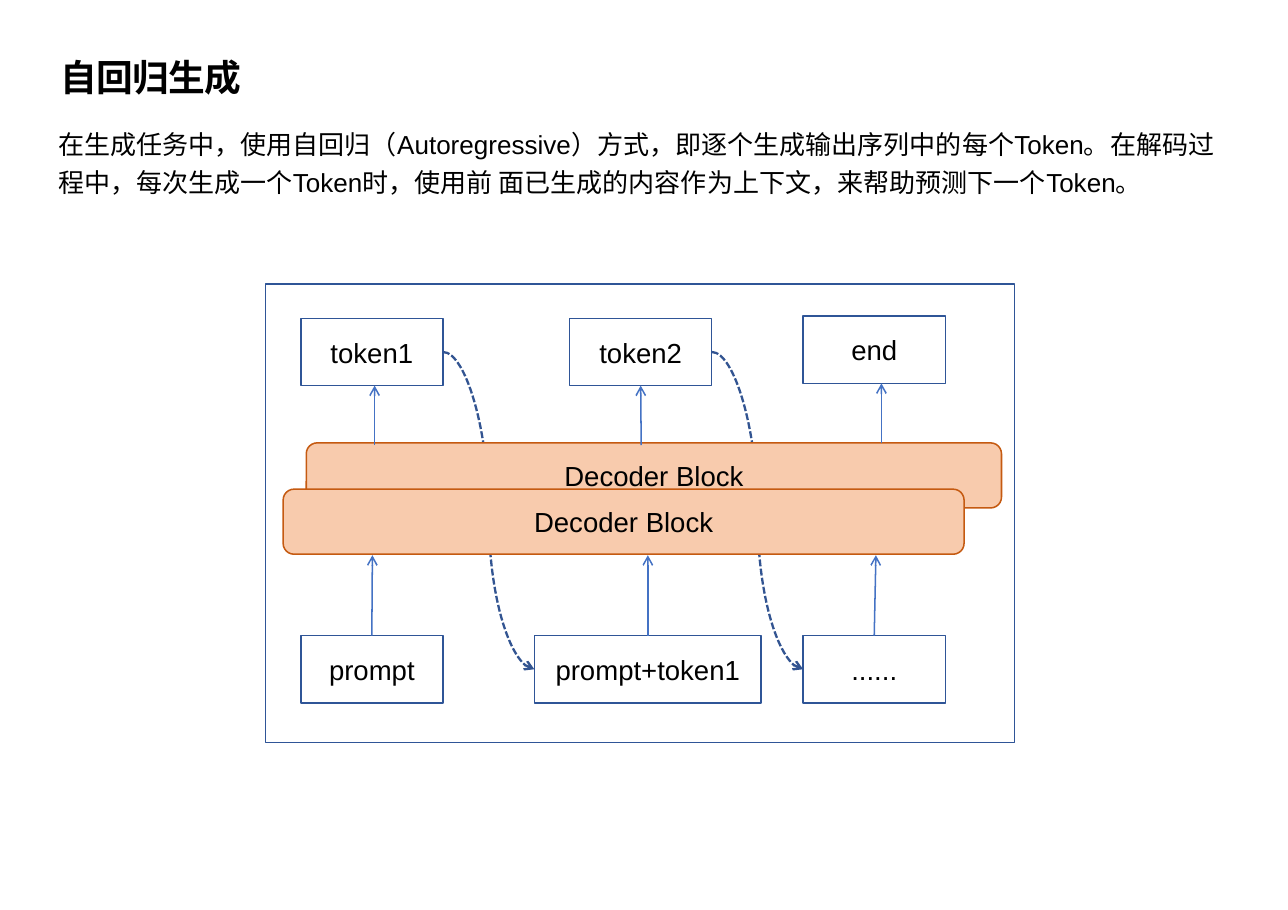
"""Build the slide that explains autoregressive generation."""
import pptx
import pptx.dml.color
import pptx.enum.dml
import pptx.enum.shapes
import pptx.enum.text
import pptx.oxml
import pptx.oxml.ns
import pptx.util
from pptx.util import Inches

LATIN, CHINESE = "Arial", "Noto Sans CJK SC"
COLORS = {"text": "000000", "frame": "2F5597", "white": "FFFFFF", "block": "F8CBAD",
          "block_line": "C55A11", "arrow": "4472C4", "feedback": "325491"}

HEADING = [("自回归生成", CHINESE)]
BODY = [
    ("在生成任务中，使用自回归（", CHINESE), ("Autoregressive", LATIN),
    ("）方式，即逐个生成输出序列中的每个", CHINESE), ("Token", LATIN),
    ("。在解码过程中，每次生成一个", CHINESE), ("Token", LATIN),
    ("时，使用前 面已生成的内容作为上下文，来帮助预测下一个", CHINESE),
    ("Token", LATIN), ("。", CHINESE),
]
PARAGRAPHS = [
    {"runs": HEADING, "size": 24, "bold": True, "tracking": -50,
     "spacing": 0.91, "before": 0, "indent": 0.04},
    {"runs": BODY, "size": 17, "bold": False, "tracking": 0,
     "spacing": 1.23, "before": 14.3, "indent": 0.02},
]

FRAME = (2.41, 2.58, 6.8, 4.16)
BLOCK_LABEL = "Decoder Block"
BLOCKS = [(2.78, 4.02, 6.31, 0.59), (2.57, 4.44, 6.18, 0.59)]
BOX_HEIGHT = 0.61
OUTPUT_TOP, INPUT_TOP = 2.89, 5.77
BOXES = {
    "token1": (2.73, OUTPUT_TOP, 1.29), "token2": (5.17, OUTPUT_TOP, 1.29),
    "end": (7.29, 2.87, 1.29), "prompt": (2.73, INPUT_TOP, 1.29),
    "prompt+token1": (4.85, INPUT_TOP, 2.06), "......": (7.29, INPUT_TOP, 1.29),
}
FEEDBACK = [("token2", "......"), ("token1", "prompt+token1")]
INPUT_ARROWS = [("prompt", 3.38), ("prompt+token1", 5.88), ("......", 7.95)]
INPUT_ARROW_TIP = 5.04
OUTPUT_ARROWS = [("token1", 3.4, 4.04), ("token2", 5.82, 4.04), ("end", 8, 4.02)]


def color(name):
    return pptx.dml.color.RGBColor.from_string(COLORS[name])


def add_run(paragraph, text, font, size, bold=False, tracking=0):
    run = paragraph.add_run()
    run.text = text
    run.font.name = font
    run.font.size = pptx.util.Pt(size)
    run.font.bold = bold
    run.font.color.rgb = color("text")
    properties = run.font._element
    if tracking:
        properties.set("spc", str(tracking))
    if font == CHINESE:
        east_asian = pptx.oxml.parse_xml(
            f'<a:ea {pptx.oxml.ns.nsdecls("a")} typeface="{font}"/>')
        properties.append(east_asian)


def add_box(slide, kind, bounds, line, fill=None, label=None):
    shape = slide.shapes.add_shape(kind, *map(Inches, bounds))
    shape.shadow.inherit = False
    if fill:
        shape.fill.solid()
        shape.fill.fore_color.rgb = color(fill)
    else:
        shape.fill.background()
    shape.line.color.rgb = color(line)
    shape.line.width = pptx.util.Pt(1)
    if label:
        shape.text_frame.vertical_anchor = pptx.enum.text.MSO_ANCHOR.MIDDLE
        paragraph = shape.text_frame.paragraphs[0]
        paragraph.alignment = pptx.enum.text.PP_ALIGN.CENTER
        add_run(paragraph, label, LATIN, 18)
    return shape


def add_arrow(slide, kind, points, line, width, dash=None):
    connector = slide.shapes.add_connector(kind, *map(Inches, points))
    connector.line.color.rgb = color(line)
    connector.line.width = pptx.util.Pt(width)
    if dash:
        connector.line.dash_style = dash
    namespace = pptx.oxml.ns.nsdecls("a")
    properties = connector._element.spPr
    properties.find(pptx.oxml.ns.qn("a:ln")).append(
        pptx.oxml.parse_xml(f'<a:tailEnd {namespace} type="arrow"/>'))
    properties.append(pptx.oxml.parse_xml(f"<a:effectLst {namespace}/>"))
    return connector


def add_text(slide):
    text_box = slide.shapes.add_textbox(*map(Inches, (0.41, 0.49, 10.92, 1.37)))
    frame = text_box.text_frame
    frame.word_wrap = True
    for index, content in enumerate(PARAGRAPHS):
        paragraph = frame.add_paragraph() if index else frame.paragraphs[0]
        paragraph.line_spacing = content["spacing"]
        paragraph.space_before = pptx.util.Pt(content["before"])
        paragraph._p.get_or_add_pPr().set("marL", str(Inches(content["indent"])))
        for text, font in content["runs"]:
            add_run(paragraph, text, font, content["size"], content["bold"],
                    content["tracking"])


def add_diagram(slide):
    shapes = pptx.enum.shapes.MSO_SHAPE
    connectors = pptx.enum.shapes.MSO_CONNECTOR
    add_box(slide, shapes.RECTANGLE, FRAME, "frame", "white")

    curves = []
    for source, target in FEEDBACK:
        left, top, width = BOXES[source]
        end_left, end_top, _ = BOXES[target]
        points = (left + width, top + BOX_HEIGHT / 2, end_left, end_top + BOX_HEIGHT / 2)
        curves.append(add_arrow(slide, connectors.CURVE, points, "feedback", 1.5,
                                pptx.enum.dml.MSO_LINE.SQUARE_DOT))

    for bounds in BLOCKS:
        add_box(slide, shapes.ROUNDED_RECTANGLE, bounds, "block_line", "block", BLOCK_LABEL)
    boxes = {label: add_box(slide, shapes.RECTANGLE, (*place, BOX_HEIGHT), "frame", label=label)
             for label, place in BOXES.items()}

    for curve, (source, target) in zip(curves, FEEDBACK):
        curve.begin_connect(boxes[source], 3)
        curve.end_connect(boxes[target], 1)
    for label, tip in INPUT_ARROWS:
        left, top, width = BOXES[label]
        points = (left + width / 2, top, tip, INPUT_ARROW_TIP)
        arrow = add_arrow(slide, connectors.STRAIGHT, points, "arrow", 1)
        arrow.begin_connect(boxes[label], 0)
    for label, center, start in OUTPUT_ARROWS:
        left, top, width = BOXES[label]
        points = (center, start, center, top + BOX_HEIGHT)
        arrow = add_arrow(slide, connectors.STRAIGHT, points, "arrow", 1)
        if abs(left + width / 2 - center) < 0.01:
            arrow.end_connect(boxes[label], 2)


def main():
    presentation = pptx.Presentation()
    presentation.slide_width = Inches(11.69)
    presentation.slide_height = Inches(8.26)
    slide = presentation.slides.add_slide(presentation.slide_layouts[6])
    add_text(slide)
    add_diagram(slide)
    presentation.save("out.pptx")


if __name__ == "__main__":
    main()
